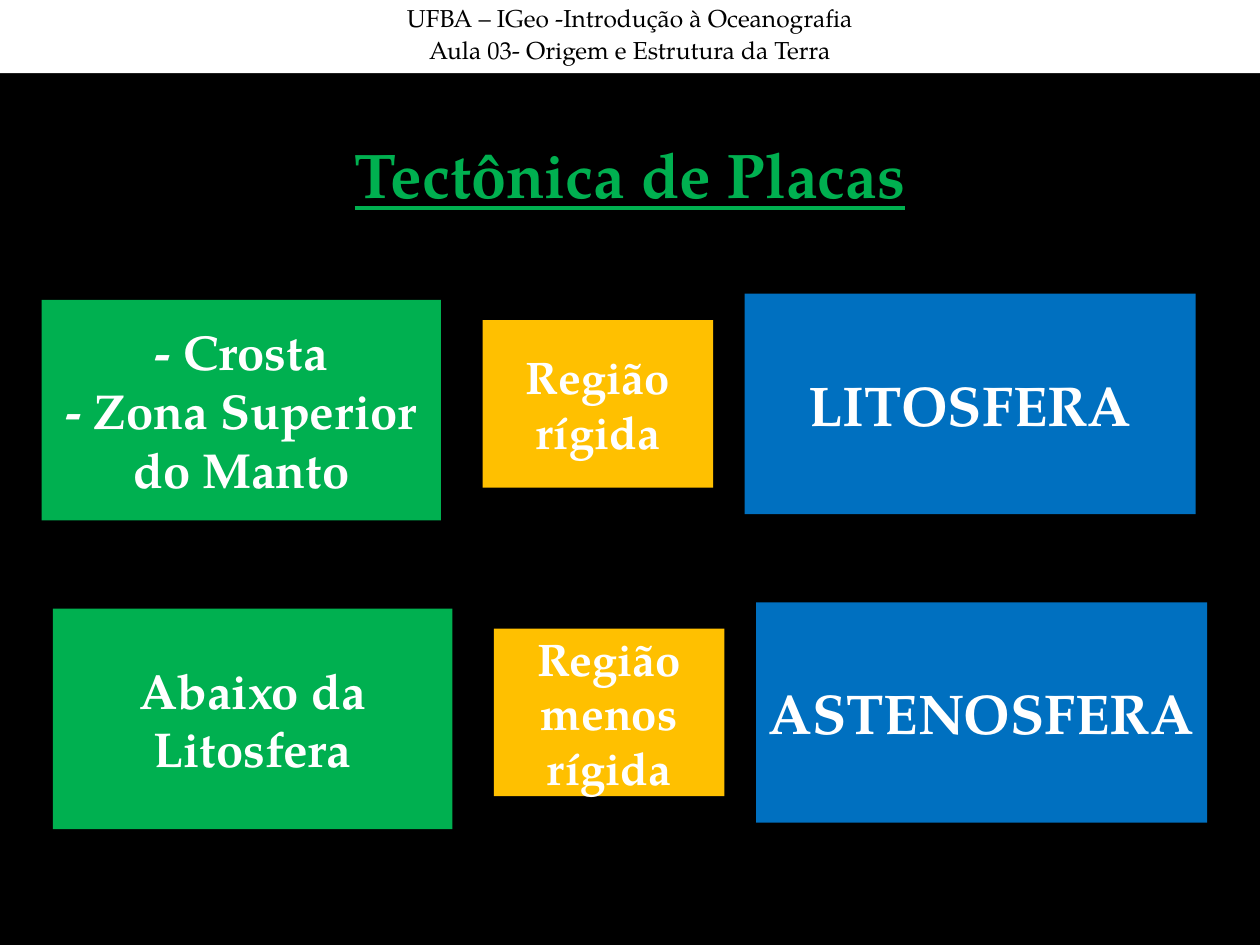
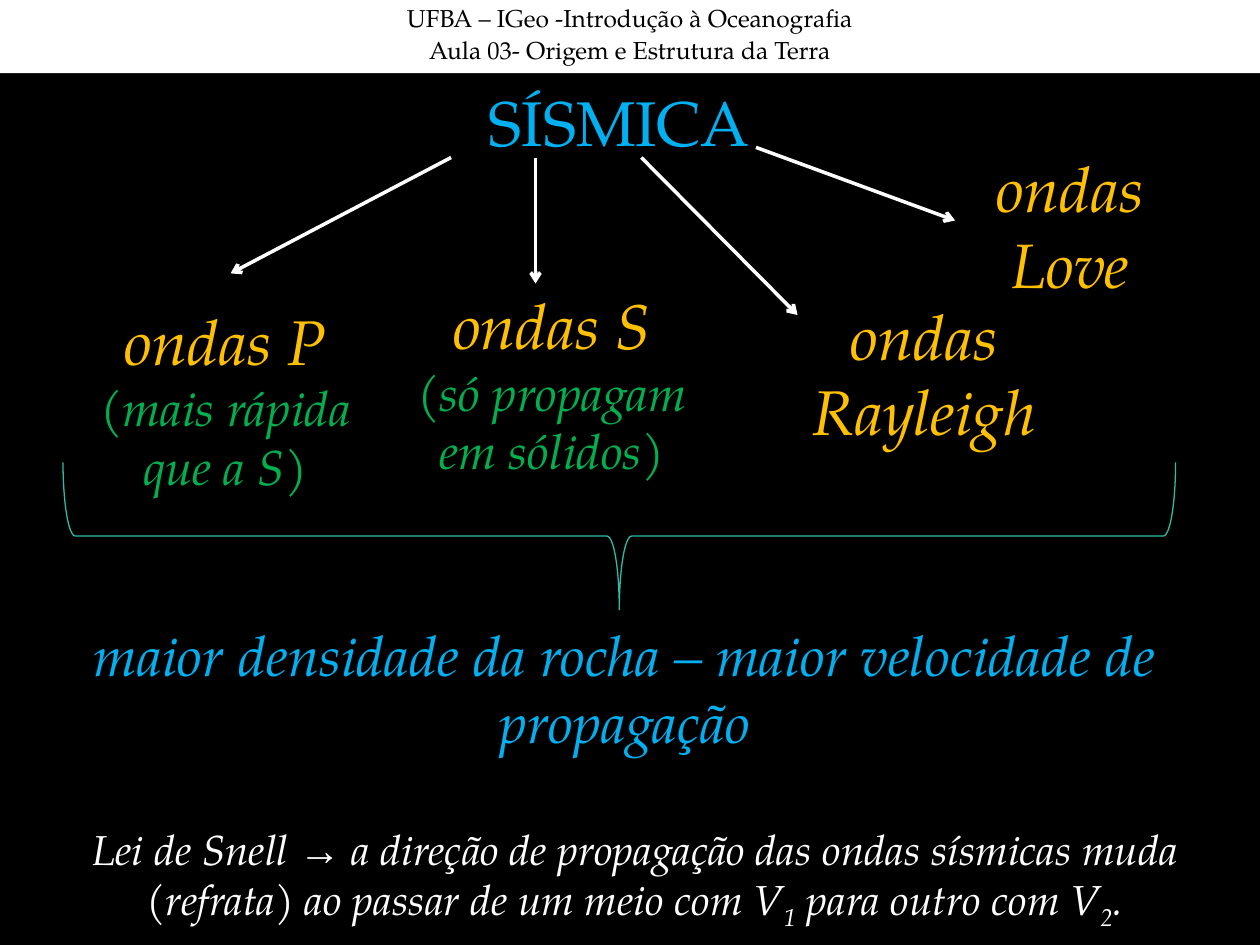
import pptx
import pptx.dml.color
import pptx.enum.shapes
import pptx.enum.text
import pptx.oxml.ns
import pptx.util
from lxml import etree

Inches = pptx.util.Inches
SHAPES = pptx.enum.shapes.MSO_SHAPE
ANCHORS = pptx.enum.text.MSO_ANCHOR

FONT = "TeX Gyre Pagella"
SYMBOL_FONT = "Arial"
BLACK = "000000"
WHITE = "FFFFFF"
GREEN = "00B050"
BLUE = "0070C0"
SKY = "00B0F0"
AMBER = "FFC000"
TEAL = "2DBDA5"

HEADER_LINES = ["UFBA – IGeo -Introdução à Oceanografia",
                "Aula 03- Origem e Estrutura da Terra"]


def color(code):
    """Turn a hex string into a colour."""
    return pptx.dml.color.RGBColor.from_string(code)


def style(font, size, code, bold=False, italic=False, underline=False):
    """Set the look of a font."""
    font.name = FONT
    font.size = pptx.util.Pt(size)
    font.color.rgb = color(code)
    font.bold = bold
    font.italic = italic
    font.underline = underline


def write(shape, lines, anchor=ANCHORS.MIDDLE):
    """Write centred lines, each a text with its font settings."""
    frame = shape.text_frame
    frame.word_wrap = True
    frame.vertical_anchor = anchor
    frame.text = "\n".join(text for text, look in lines)
    for para, (text, look) in zip(frame.paragraphs, lines):
        para.alignment = pptx.enum.text.PP_ALIGN.CENTER
        for span in para.runs:
            style(span.font, **look)
    return frame


def add_label(page, box, lines):
    """Add a transparent text box with centred lines."""
    return write(page.shapes.add_textbox(*map(Inches, box)), lines)


def add_block(page, box, fill, lines, anchor=ANCHORS.MIDDLE):
    """Add a filled rectangle with centred lines."""
    block = page.shapes.add_shape(SHAPES.RECTANGLE, *map(Inches, box))
    block.shadow.inherit = False
    block.fill.solid()
    block.fill.fore_color.rgb = color(fill)
    block.line.fill.background()
    return write(block, lines, anchor)


def add_arrow(page, start, end):
    """Add a white arrow between two points."""
    arrow = page.shapes.add_connector(
        pptx.enum.shapes.MSO_CONNECTOR.STRAIGHT, *map(Inches, start + end))
    arrow.line.color.rgb = color(WHITE)
    arrow.line.width = pptx.util.Pt(2)
    qualify = pptx.oxml.ns.qn
    etree.SubElement(arrow.line._get_or_add_ln(), qualify("a:tailEnd"), type="arrow")
    etree.SubElement(arrow._element.spPr, qualify("a:effectLst"))


def add_brace(page, box):
    """Add a downward brace that spans the given box."""
    left, top, width, height = box
    shift = (width - height) / 2
    brace = page.shapes.add_shape(
        SHAPES.RIGHT_BRACE, Inches(left + shift), Inches(top - shift),
        Inches(height), Inches(width))
    brace.rotation = 90
    brace.shadow.inherit = False
    brace.fill.background()
    brace.line.color.rgb = color(TEAL)
    brace.line.width = pptx.util.Pt(0.75)


def add_header(page):
    """Add the white course band along the top."""
    look = dict(size=14, code=BLACK)
    frame = add_block(page, (0, 0, 10, 0.58), WHITE,
                      [(text, look) for text in HEADER_LINES], ANCHORS.TOP)
    for para in frame.paragraphs:
        para.line_spacing = 0.9
    frame.paragraphs[1].space_before = pptx.util.Pt(3.5)


def add_page(deck):
    """Add a black page with the course band."""
    page = deck.slides.add_slide(deck.slide_layouts[6])
    page.background.fill.solid()
    page.background.fill.fore_color.rgb = color(BLACK)
    add_header(page)
    return page


def add_layer_row(page, left, top, zone, behaviour, layer):
    """Add one row that leads from a zone to its layer."""
    parts = [((0, 0, 3.17, 1.75), GREEN, 28, zone),
             ((5.58, -0.05, 3.58, 1.75), BLUE, 32, [layer]),
             ((3.5, 0.16, 1.83, 1.33), AMBER, 26, [behaviour])]
    for (across, down, width, height), fill, size, texts in parts:
        look = dict(size=size, code=WHITE, bold=True)
        add_block(page, (left + across, top + down, width, height), fill,
                  [(text, look) for text in texts])


def add_wave(page, box, name, remark=None):
    """Add the name of a wave and an optional remark."""
    lines = [(name, dict(size=36, code=AMBER, italic=True))]
    if remark:
        lines.append((remark, dict(size=28, code=GREEN, italic=True)))
    add_label(page, box, lines)


def add_snell_law(page, box):
    """Add the law of Snell with its symbol and subscripts."""
    para = add_label(page, box, [("", {})]).paragraphs[0]
    pieces = [("Lei de Snell ", None), ("→", "symbol"),
              (" a direção de propagação das ondas sísmicas muda "
               "(refrata) ao passar de um meio com V", None),
              ("1", "subscript"), (" para outro com V", None),
              ("2", "subscript"), (".", None)]
    for text, role in pieces:
        span = para.add_run()
        span.text = text
        style(span.font, 24, WHITE, italic=True)
        if role == "symbol":
            span.font.name = SYMBOL_FONT
        elif role == "subscript":
            span._r.get_or_add_rPr().set("baseline", "-25000")


def build_plates(deck):
    """Build the slide on plate tectonics."""
    page = add_page(deck)
    add_label(page, (0.5, 0.75, 9, 1.25),
              [("Tectônica de Placas",
                dict(size=36, code=GREEN, bold=True, underline=True))])
    add_layer_row(page, 0.33, 2.38, ["- Crosta", "- Zona Superior do Manto"],
                  "Região rígida", "LITOSFERA")
    add_layer_row(page, 0.42, 4.83, ["Abaixo da Litosfera"],
                  "Região menos rígida", "ASTENOSFERA")


def build_seismic(deck):
    """Build the slide on seismic waves."""
    page = add_page(deck)
    add_label(page, (3.75, 0.5, 2.33, 0.92),
              [("SÍSMICA", dict(size=36, code=SKY))])
    waves = [
        ((3.58, 1.25), (1.83, 2.17), (0.5, 2.25, 2.58, 1.83),
         "ondas P", "(mais rápida que a S)"),
        ((4.25, 1.25), (4.25, 2.25), (3.17, 2.33, 2.42, 1.42),
         "ondas S", "(só propagam em sólidos)"),
        ((5.09, 1.25), (6.33, 2.5), (6.17, 2.5, 2.33, 0.92), "ondas Rayleigh"),
        ((6, 1.17), (7.58, 1.75), (7.33, 1.33, 2.33, 0.92), "ondas Love"),
    ]
    for start, end, box, *texts in waves:
        add_arrow(page, start, end)
        add_wave(page, box, *texts)
    add_brace(page, (0.5, 3.67, 8.83, 1.17))
    add_label(page, (0.42, 5, 9.08, 0.92),
              [("maior densidade da rocha – maior velocidade de propagação",
                dict(size=32, code=SKY, italic=True))])
    add_snell_law(page, (0.5, 6.5, 9.08, 0.92))


def main():
    """Build and save the deck."""
    deck = pptx.Presentation()
    deck.slide_width = Inches(10)
    deck.slide_height = Inches(7.5)
    build_plates(deck)
    build_seismic(deck)
    deck.save("out.pptx")


if __name__ == "__main__":
    main()
